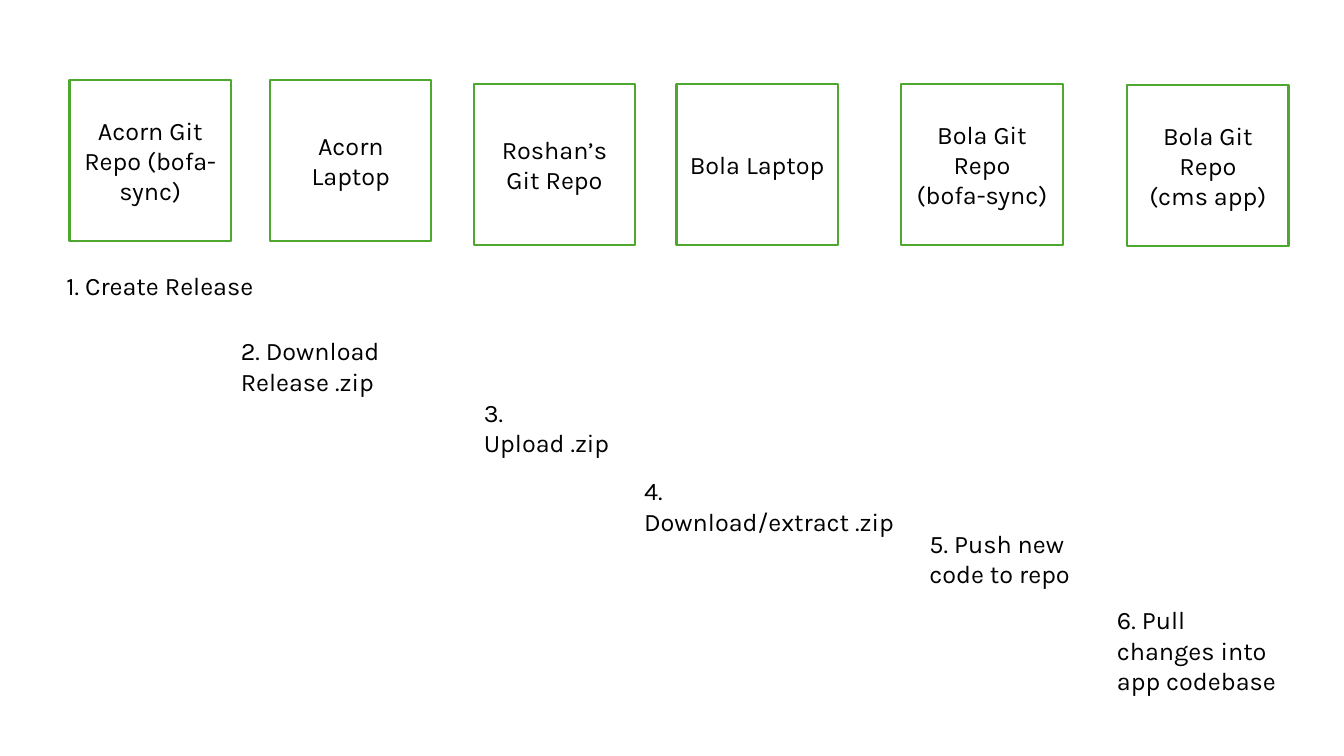
from pptx import Presentation
from pptx.dml.color import RGBColor
from pptx.enum.shapes import MSO_SHAPE
from pptx.enum.text import MSO_ANCHOR, PP_ALIGN
from pptx.util import Inches, Pt

RECTANGLE = MSO_SHAPE.RECTANGLE
MIDDLE, TOP = MSO_ANCHOR.MIDDLE, MSO_ANCHOR.TOP
CENTER, LEFT = PP_ALIGN.CENTER, PP_ALIGN.LEFT

THEME = {
    "font": "Karla",
    "size": Pt(18),
    "text": RGBColor(0, 0, 0),
    "fill": RGBColor(255, 255, 255),
    "line": RGBColor(0x4E, 0xA7, 0x2E),
    "line_width": Pt(1.5),
}

STATION_SIDE = 1.6
STATIONS = [
    (0.69, 0.79, ["Acorn Git Repo (bofa-sync)"]),
    (2.68, 0.79, ["Acorn Laptop"]),
    (4.7, 0.83, ["Roshan’s", "Git Repo"]),
    (6.71, 0.83, ["Bola Laptop"]),
    (8.94, 0.83, ["Bola Git Repo", "(bofa-sync)"]),
    (11.18, 0.84, ["Bola Git Repo", "(cms app)"]),
]

STEPS = [
    (0.56, 2.63, 2.12, 0.4, "1. Create Release"),
    (2.29, 3.28, 2.93, 0.71, "2. Download\vRelease .zip"),
    (4.7, 3.89, 1.69, 0.71, "3.\vUpload .zip"),
    (6.29, 4.67, 2.83, 0.71, "4.\vDownload/extract .zip"),
    (9.12, 5.19, 1.86, 0.71, "5. Push new code to repo"),
    (10.98, 5.95, 1.86, 1.01, "6. Pull changes into app codebase"),
]


def write(shape, lines, align, anchor):
    frame = shape.text_frame
    frame.word_wrap = True
    frame.vertical_anchor = anchor
    frame.text = "\n".join(lines)
    for para in frame.paragraphs:
        para.alignment = align
        para.font.name = THEME["font"]
        para.font.size = THEME["size"]
        para.font.color.rgb = THEME["text"]


def add_station(page, left, top, lines):
    side = Inches(STATION_SIDE)
    station = page.shapes.add_shape(RECTANGLE, Inches(left), Inches(top), side, side)
    station.shadow.inherit = False
    station.fill.solid()
    station.fill.fore_color.rgb = THEME["fill"]
    station.line.color.rgb = THEME["line"]
    station.line.width = THEME["line_width"]
    write(station, lines, CENTER, MIDDLE)


def add_step(page, left, top, width, height, text):
    box = page.shapes.add_textbox(Inches(left), Inches(top), Inches(width), Inches(height))
    write(box, [text], LEFT, TOP)


def main():
    deck = Presentation()
    deck.slide_width, deck.slide_height = Inches(13.33), Inches(7.5)
    page = deck.slides.add_slide(deck.slide_layouts[6])
    for station in STATIONS:
        add_station(page, *station)
    for step in STEPS:
        add_step(page, *step)
    deck.save("out.pptx")


if __name__ == "__main__":
    main()
